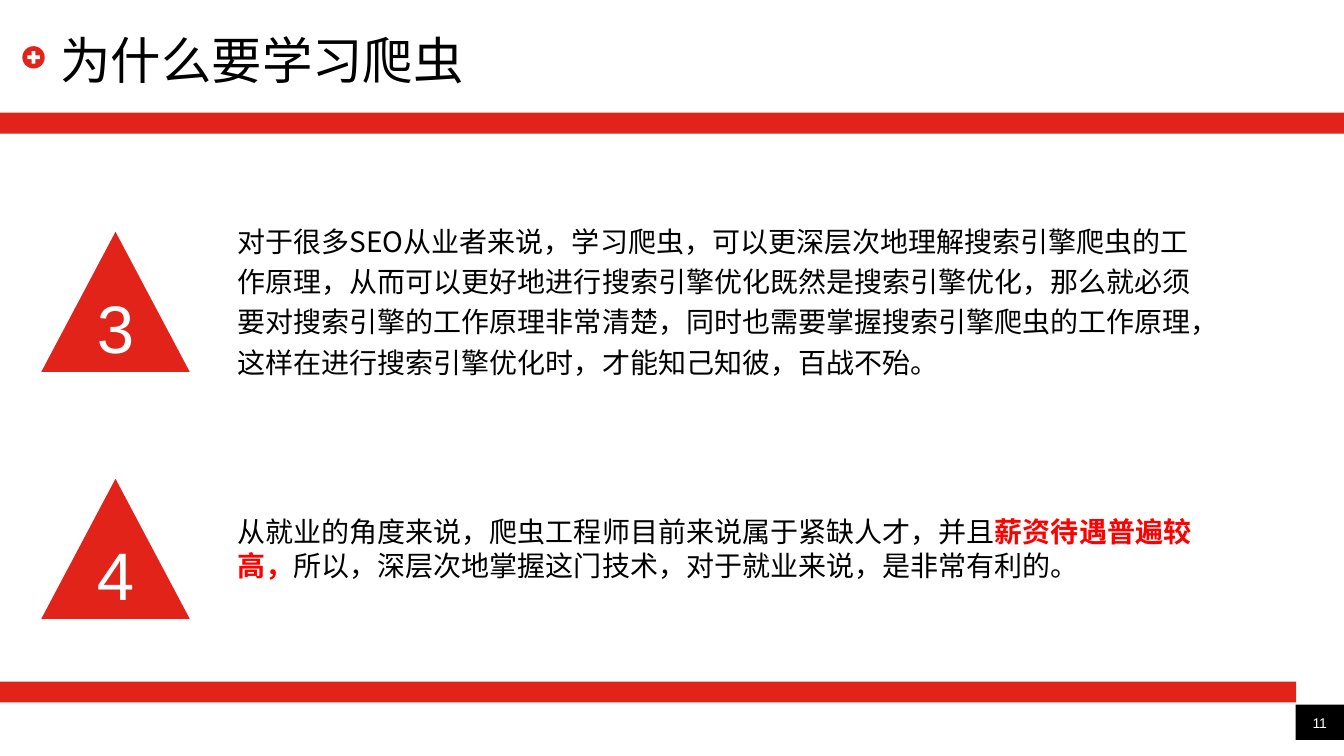
from lxml.etree import SubElement
from pptx import Presentation
from pptx.dml.color import RGBColor
from pptx.enum.shapes import MSO_SHAPE
from pptx.enum.text import MSO_ANCHOR, MSO_AUTO_SIZE, PP_ALIGN
from pptx.oxml.ns import qn
from pptx.util import Pt

RED = RGBColor(0xE2, 0x23, 0x1A)
HIGHLIGHT = RGBColor(0xFF, 0x00, 0x00)
BLACK = RGBColor(0x00, 0x00, 0x00)
WHITE = RGBColor(0xFF, 0xFF, 0xFF)
LATIN_FONT = "Arial"
CHINESE_FONT = "Noto Sans CJK SC"
WIDTH, HEIGHT = 960, 540

SEO_REASON = [(
    "对于很多SEO从业者来说，学习爬虫，可以更深层次地理解搜索引擎爬虫的工作原理，"
    "从而可以更好地进行搜索引擎优化既然是搜索引擎优化，那么就必须要对搜索引擎的工作原理非常清楚，"
    "同时也需要掌握搜索引擎爬虫的工作原理，这样在进行搜索引擎优化时，才能知己知彼，百战不殆。",
    {},
)]
JOB_REASON = [
    ("从就业的角度来说，爬虫工程师目前来说属于紧缺人才，并且", {}),
    ("薪资待遇普遍较高，", {"color": HIGHLIGHT, "bold": True}),
    ("所以，深层次地掌握这门技术，对于就业来说，是非常有利的。", {}),
]


def add_run(paragraph, text, *, size=20, font=CHINESE_FONT, color=BLACK, bold=False):
    run = paragraph.add_run()
    run.text = text
    run.font.size = Pt(size)
    run.font.name = font
    run.font.bold = bold
    run.font.color.rgb = color
    east_asian = SubElement(run.font._element, qn("a:ea"))
    east_asian.set("typeface", CHINESE_FONT)


def set_frame(shape, *, anchor, margins=None, align=PP_ALIGN.LEFT):
    frame = shape.text_frame
    frame.word_wrap = True
    frame.auto_size = MSO_AUTO_SIZE.NONE
    frame.vertical_anchor = anchor
    if margins is not None:
        frame.margin_left = frame.margin_right = Pt(margins)
        frame.margin_top = frame.margin_bottom = Pt(margins)
    paragraph = frame.paragraphs[0]
    paragraph.alignment = align
    return paragraph


def add_filled(slide, kind, left, top, width, height, color):
    shape = slide.shapes.add_shape(kind, Pt(left), Pt(top), Pt(width), Pt(height))
    shape.shadow.inherit = False
    shape.fill.solid()
    shape.fill.fore_color.rgb = color
    shape.line.fill.background()
    return shape


def add_header(slide, left, top, width, height):
    icon, plus = 16, 9
    icon_top = top + 33
    add_filled(slide, MSO_SHAPE.OVAL, left + 16, icon_top, icon, icon, RED)
    inset = (icon - plus) / 2
    cross = add_filled(slide, MSO_SHAPE.CROSS, left + 16 + inset, icon_top + inset, plus, plus, WHITE)
    cross.adjustments[0] = 0.35

    title = slide.shapes.title
    title.left, title.top = Pt(left + 43.2), Pt(top + 21.6)
    title.width, title.height = Pt(872), Pt(41)
    paragraph = set_frame(title, anchor=MSO_ANCHOR.MIDDLE, margins=0)
    add_run(paragraph, "为什么要学习", size=36, font=LATIN_FONT)
    add_run(paragraph, "爬虫", size=36)
    add_filled(slide, MSO_SHAPE.RECTANGLE, left, top + height - 15, width, 15, RED)


def add_reason(slide, left, top, number, runs, text_offset, text_height, spacing):
    triangle = add_filled(slide, MSO_SHAPE.ISOSCELES_TRIANGLE, left, top, 106, 100, RED)
    paragraph = set_frame(triangle, anchor=MSO_ANCHOR.BOTTOM, align=PP_ALIGN.CENTER)
    add_run(paragraph, number, size=48, font=LATIN_FONT, color=WHITE)

    box = slide.shapes.add_textbox(Pt(left + 133), Pt(top + text_offset), Pt(699), Pt(text_height))
    paragraph = set_frame(box, anchor=MSO_ANCHOR.TOP)
    box.text_frame.auto_size = MSO_AUTO_SIZE.SHAPE_TO_FIT_TEXT
    paragraph.line_spacing = spacing
    for text, text_format in runs:
        add_run(paragraph, text, **text_format)


def add_footer(slide, left, top, width, page):
    badge_width = 34.6
    badge_left = left + width - badge_width
    badge_top = top + 16.5
    add_filled(slide, MSO_SHAPE.RECTANGLE, left, top, badge_left - left + 0.5, 15, RED)
    add_filled(slide, MSO_SHAPE.RECTANGLE, badge_left, badge_top, badge_width, 25.2, BLACK)
    box = slide.shapes.add_textbox(Pt(badge_left), Pt(badge_top), Pt(badge_width), Pt(19.4))
    paragraph = set_frame(box, anchor=MSO_ANCHOR.BOTTOM, margins=0, align=PP_ALIGN.CENTER)
    add_run(paragraph, page, size=10, font=LATIN_FONT, color=WHITE)


def main():
    presentation = Presentation()
    presentation.slide_width = Pt(WIDTH)
    presentation.slide_height = Pt(HEIGHT)
    slide = presentation.slides.add_slide(presentation.slide_layouts[5])
    add_header(slide, 0, 0, WIDTH, 95.5)
    add_reason(slide, 29.5, 165.6, "3", SEO_REASON, -13.7, 124, 1.2)
    add_reason(slide, 29.5, 342, "4", JOB_REASON, 22.3, 55.4, 1.0)
    add_footer(slide, 0, 486.8, WIDTH, "11")
    presentation.save("out.pptx")


if __name__ == "__main__":
    main()
